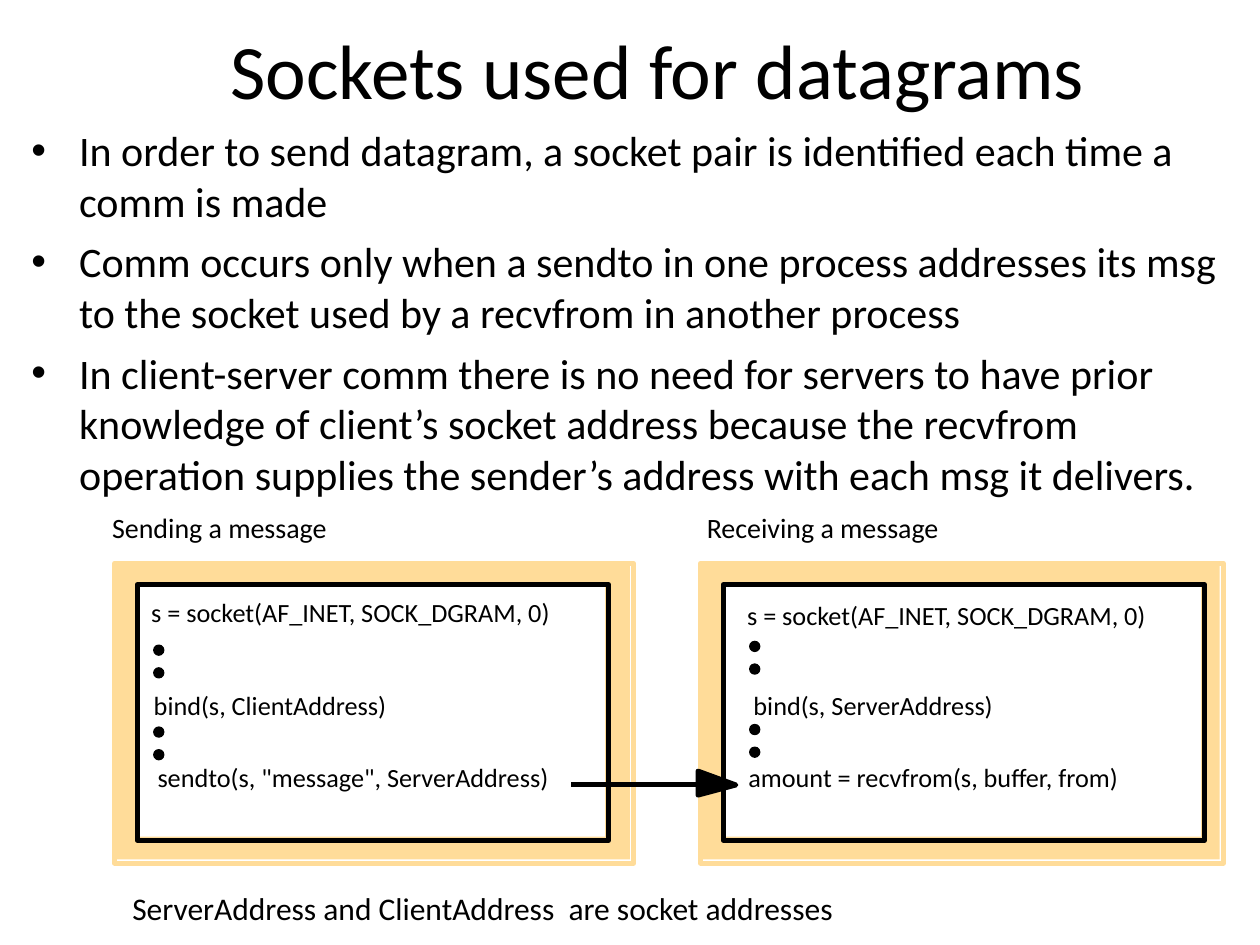
from lxml.etree import SubElement
from pptx import Presentation
from pptx.dml.color import RGBColor
from pptx.enum.shapes import MSO_CONNECTOR, MSO_SHAPE
from pptx.enum.text import MSO_ANCHOR, PP_ALIGN
from pptx.oxml.ns import qn
from pptx.util import Inches, Pt

THEME = {
    "font": "Calibri",
    "black": RGBColor(0x00, 0x00, 0x00),
    "white": RGBColor(0xFF, 0xFF, 0xFF),
    "sand": RGBColor(0xFF, 0xDC, 0x99),
    "title": 44, "body": 24, "note": 18, "heading": 16, "code": 15,
    "line": 2.86, "dot_line": 0.75,
}

TITLE = "Sockets used for datagrams"
BULLETS = [
    "In order to send datagram, a socket pair is identified each time a comm is made",
    "Comm occurs only when a sendto in one process addresses its msg to the socket "
    "used by a recvfrom in another process",
    "In client-server comm there is no need for servers to have prior knowledge of "
    "client’s socket address because the recvfrom operation supplies the sender’s "
    "address with each msg it delivers.",
]
NOTE = "ServerAddress and ClientAddress  are socket addresses"

# Code lines are (text, left, top, width); dots are (left, tops)
PANELS = [
    {"heading": ("Receiving a message", 5.61, 1.85), "left": 5.56, "width": 4.12,
     "inner_width": 3.79,
     "code": [("s = socket(AF_INET, SOCK_DGRAM, 0)", 5.93, 4.76, 3.2),
              ("bind(s, ServerAddress)", 5.98, 5.47, 1.91),
              ("amount = recvfrom(s, buffer, from)", 5.94, 6.04, 2.97)],
     "dots": (5.95, [5.09, 5.75])},
    {"heading": ("Sending a message", 0.89, 1.71), "left": 0.91, "width": 4.09,
     "inner_width": 3.71,
     "code": [("s = socket(AF_INET, SOCK_DGRAM, 0)", 1.2, 4.73, 3.2),
              ("bind(s, ClientAddress)", 1.22, 5.47, 1.85),
              ('sendto(s, "message", ServerAddress)', 1.25, 6.04, 3.11)],
     "dots": (1.22, [5.12, 5.77])},
]
PANEL_TOP, PANEL_HEIGHT = 4.47, 2.35
INNER_INSET, INNER_TOP, INNER_HEIGHT = 0.18, 4.64, 2.0
FRAME_EXTRA = 0.03
DOT_SIZE, DOT_STEP = 0.08, 0.18
ARROW_START, ARROW_NECK, ARROW_TIP, ARROW_Y = 4.53, 5.54, 5.84, 6.23
HEAD_TOP, HEAD_BOTTOM = 6.12, 6.31


def box(left, top, width, height):
    return [Inches(v) for v in (left, top, width, height)]


def style(p, size):
    for r in p.runs:
        r.font.name = THEME["font"]
        r.font.size = Pt(THEME[size])
        r.font.color.rgb = THEME["black"]


def add_label(s, text, left, top, width, height, size):
    tf = s.shapes.add_textbox(*box(left, top, width, height)).text_frame
    tf.margin_left = tf.margin_right = tf.margin_top = tf.margin_bottom = 0
    tf.word_wrap = False
    tf.text = text
    style(tf.paragraphs[0], size)


def paint(sp, fill=None, line=None, width="line"):
    sp.shadow.inherit = False
    if fill:
        sp.fill.solid()
        sp.fill.fore_color.rgb = THEME[fill]
    else:
        sp.fill.background()
    if line:
        sp.line.color.rgb = THEME[line]
        sp.line.width = Pt(THEME[width])
    else:
        sp.line.fill.background()


def add_framed_box(s, left, top, width, height, fill, line):
    """A filled rectangle with a slightly larger outline over it."""
    area = s.shapes.add_shape(MSO_SHAPE.RECTANGLE, *box(left, top, width, height))
    paint(area, fill=fill)
    frame = s.shapes.add_shape(
        MSO_SHAPE.RECTANGLE,
        *box(left, top, width + FRAME_EXTRA, height + FRAME_EXTRA))
    paint(frame, line=line)


def add_panel(s, panel):
    heading, left, width = panel["heading"]
    add_label(s, heading, left, 4.05, width, 0.27, "heading")
    add_framed_box(s, panel["left"], PANEL_TOP, panel["width"], PANEL_HEIGHT,
                   "sand", "sand")
    add_framed_box(s, panel["left"] + INNER_INSET, INNER_TOP, panel["inner_width"],
                   INNER_HEIGHT, "white", "black")
    for text, left, top, width in panel["code"]:
        add_label(s, text, left, top, width, 0.25, "code")
    left, tops = panel["dots"]
    for top in tops:
        for y in (top, top + DOT_STEP):
            dot = s.shapes.add_shape(MSO_SHAPE.OVAL, *box(left, y, DOT_SIZE, DOT_SIZE))
            paint(dot, "black", "black", "dot_line")


def add_arrow(s):
    points = [(ARROW_NECK, HEAD_TOP), (ARROW_TIP, ARROW_Y), (ARROW_NECK, HEAD_BOTTOM)]
    builder = s.shapes.build_freeform(Inches(ARROW_NECK), Inches(ARROW_Y))
    builder.add_line_segments([(Inches(x), Inches(y)) for x, y in points], close=True)
    paint(builder.convert_to_shape(), "black", "black")
    shaft = s.shapes.add_connector(
        MSO_CONNECTOR.STRAIGHT, *box(ARROW_NECK, ARROW_Y, ARROW_START, ARROW_Y))
    shaft.line.color.rgb = THEME["black"]
    shaft.line.width = Pt(THEME["line"])
    SubElement(shaft._element.spPr, qn("a:effectLst"))


def add_bullets(s):
    tf = s.shapes.add_textbox(*box(0.15, 0.94, 9.67, 3.03)).text_frame
    tf.word_wrap = True
    tf.text = "\n".join(BULLETS)
    for i, p in enumerate(tf.paragraphs):
        pPr = p._p.get_or_add_pPr()
        pPr.set("marL", str(Inches(0.38)))
        pPr.set("indent", str(Inches(-0.38)))
        SubElement(pPr, qn("a:buFont")).set("typeface", "Arial")
        SubElement(pPr, qn("a:buChar")).set("char", "•")
        p.space_before = Pt(6 if i else 0)
        style(p, "body")


def main():
    prs = Presentation()
    prs.slide_width, prs.slide_height = Inches(10), Inches(7.5)
    s = prs.slides.add_slide(prs.slide_layouts[5])

    # Title
    title = s.shapes.title
    title.left, title.top, title.width, title.height = box(0.72, -0.08, 9, 1.25)
    tf = title.text_frame
    tf.text = TITLE
    tf.vertical_anchor = MSO_ANCHOR.MIDDLE
    tf.paragraphs[0].alignment = PP_ALIGN.CENTER
    style(tf.paragraphs[0], "title")

    # Socket diagram
    for panel in PANELS:
        add_panel(s, panel)
    add_arrow(s)
    add_label(s, NOTE, 1.05, 7.06, 5.59, 0.3, "note")

    # Bullet list
    add_bullets(s)
    prs.save("out.pptx")


if __name__ == "__main__":
    main()
